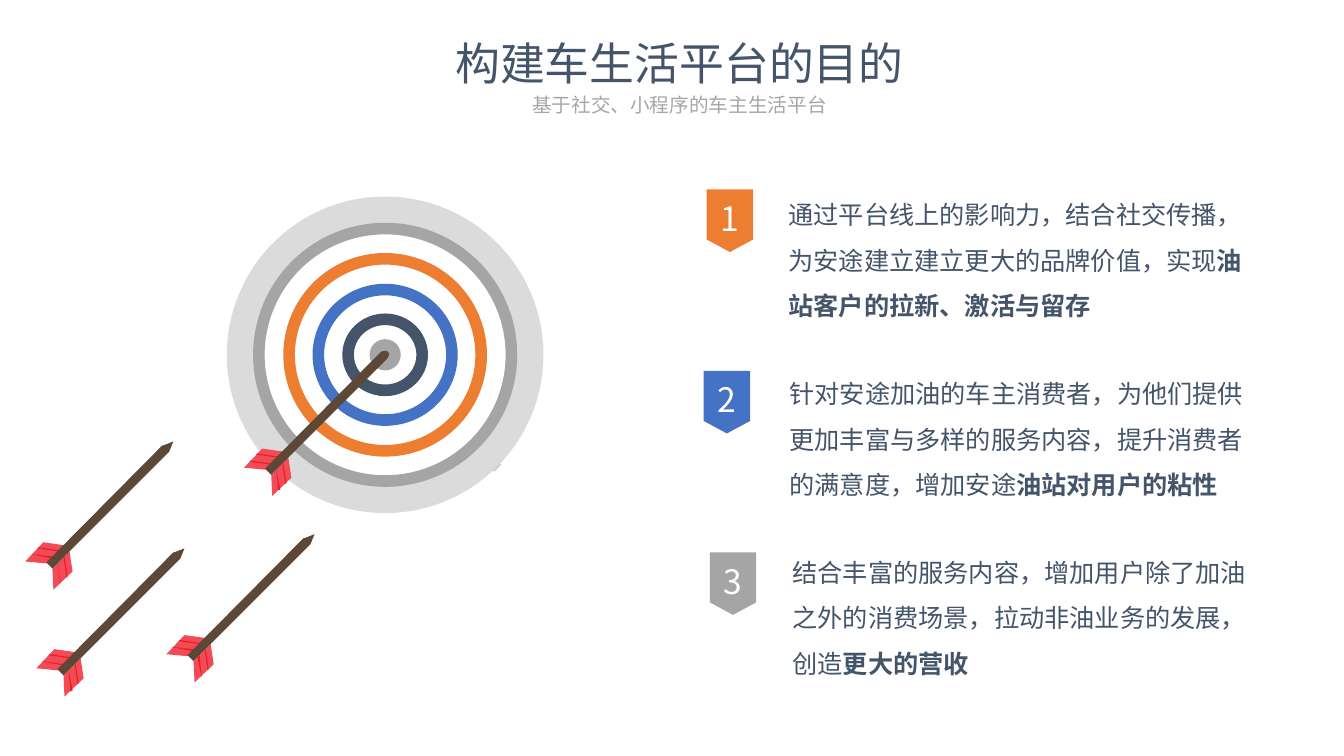
from dataclasses import dataclass

from lxml.etree import SubElement
from pptx import Presentation
from pptx.dml.color import RGBColor
from pptx.enum.shapes import MSO_SHAPE
from pptx.enum.text import MSO_ANCHOR, MSO_AUTO_SIZE, PP_ALIGN
from pptx.oxml.ns import qn
from pptx.util import Inches, Pt


@dataclass(frozen=True)
class Theme:
    font: str = "Noto Sans CJK SC"
    ink: str = "44546A"
    soft: str = "A6A6A6"
    white: str = "FFFFFF"
    pale: str = "DBDBDB"
    gray: str = "A5A5A5"
    orange: str = "ED7D31"
    blue: str = "4472C4"
    vane: str = "F34A57"
    rib: str = "EA1E1D"
    wood: str = "5D4837"
    nick: str = "C9C8C8"
    title: int = 32
    sub: int = 14
    body: int = 18
    mark: int = 24


T = Theme()
WIDE, HIGH = 13.33, 7.5

TITLE = "构建车生活平台的目的"
SUB = "基于社交、小程序的车主生活平台"
# plain text, bold text, badge colour, badge left, text left
GOALS = [
    ("通过平台线上的影响力，结合社交传播，为安途建立建立更大的品牌价值，实现",
     "油站客户的拉新、激活与留存", T.orange, 7.01, 7.82),
    ("针对安途加油的车主消费者，为他们提供更加丰富与多样的服务内容，提升消费者的满意度，增加安途",
     "油站对用户的粘性", T.blue, 6.98, 7.83),
    ("结合丰富的服务内容，增加用户除了加油之外的消费场景，拉动非油业务的发展，创造",
     "更大的营收", T.gray, 7.04, 7.86),
]
TEXT_TOP, TEXT_STEP = 1.83, 1.775
MARK_TOP, MARK_STEP = 1.88, 1.8

HUB = (3.82, 3.52)
DISCS = [(3.14, T.pale), (2.5, T.white)]
RINGS = [(2.62, 2.62, T.gray), (2.02, 2.02, T.orange),
         (1.44, 1.41, T.blue), (0.85, 0.82, T.ink)]
BAND = 0.115
EYE = 0.31
NICK = [(4.96, 4.6), (4.97, 4.61), (4.9, 4.68), (4.89, 4.67)]

# Arrow outlines, measured from the lower corner of the shaft's tail
VANES = [
    [(0.17, -0.17), (0.2, 0.03), (0.01, 0.21), (0, 0)],
    [(0.12, -0.23), (-0.09, -0.26), (-0.27, -0.07), (-0.06, -0.05)],
]
DOWN = [(0.12, -0.12), (0.15, 0.08), (0.14, 0.09), (0.11, -0.11)]
SIDE = [(-0.14, -0.21), (0.07, -0.18), (0.06, -0.17), (-0.15, -0.2)]
TAIL = [(1.15, -1.15), (0, 0), (-0.06, -0.06), (1.09, -1.22)]
POINT = [(1.1, -1.22), (1.2, -1.26), (1.16, -1.16)]
ROUND = [(1.13, -1.23), (1.16, -1.22), (1.17, -1.19)]
ARROWS = [(0.52, 5.64, POINT), (0.63, 6.7, POINT),
          (1.92, 6.56, POINT), (2.69, 4.71, ROUND)]


def paint(shape, color):
    shape.shadow.inherit = False
    shape.fill.solid()
    shape.fill.fore_color.rgb = RGBColor.from_string(color)
    shape.line.fill.background()
    return shape


def style(para, size, color, align, lead):
    para.alignment = align
    para.line_spacing = lead
    para.space_before = Pt(0)
    font = para.font
    font.name, font.size = T.font, Pt(size)
    font.color.rgb = RGBColor.from_string(color)
    for latin in list(para._p.iter(qn("a:latin"))):
        ea = SubElement(latin.getparent(), qn("a:ea"), typeface=T.font)
        latin.addnext(ea)


def place(shape, left, top, width, height):
    shape.left, shape.top = Inches(left), Inches(top)
    shape.width, shape.height = Inches(width), Inches(height)


def strip(frame):
    frame.margin_left = frame.margin_right = 0
    frame.margin_top = frame.margin_bottom = 0


def head(shape, text, top, height, size, color, anchor):
    place(shape, 0.99, top, 11.5, height)
    frame = shape.text_frame
    frame.text = text
    frame.word_wrap = True
    frame.auto_size = MSO_AUTO_SIZE.NONE
    frame.vertical_anchor = anchor
    style(frame.paragraphs[0], size, color, PP_ALIGN.CENTER, 0.9)


def outline(shapes, points, color, x=0, y=0):
    """Draw a closed polygon, its points shifted by x and y inches."""
    dots = [(round((x + a) * 100), round((y + b) * 100)) for a, b in points]
    form = shapes.build_freeform(*dots[0], scale=Inches(0.01))
    form.add_line_segments(dots[1:], close=True)
    paint(form.convert_to_shape(), color)


def centred(shapes, kind, width, height, color):
    """Draw a shape centred on the target's hub."""
    shape = shapes.add_shape(
        kind, Inches(HUB[0] - width / 2), Inches(HUB[1] - height / 2),
        Inches(width), Inches(height))
    return paint(shape, color)


def target(shapes):
    for size, color in DISCS:
        centred(shapes, MSO_SHAPE.OVAL, size, size, color)
    for width, height, color in RINGS:
        ring = centred(shapes, MSO_SHAPE.DONUT, width, height, color)
        ring.adjustments[0] = BAND / height
    centred(shapes, MSO_SHAPE.OVAL, EYE, EYE, T.gray)
    outline(shapes, NICK, T.nick)


def arrow(shapes, x, y, tip):
    for vane in VANES:
        outline(shapes, vane, T.vane, x, y)
    for rib in (DOWN, SIDE):
        for step in (0, 0.065):
            outline(shapes, rib, T.rib, x - step, y + step)
    outline(shapes, TAIL + tip, T.wood, x, y)


def goal(shapes, row, plain, bold, color, left, start):
    mark = paint(shapes.add_shape(
        MSO_SHAPE.FLOWCHART_OFFPAGE_CONNECTOR, Inches(left),
        Inches(MARK_TOP + row * MARK_STEP), Inches(0.46), Inches(0.62)), color)
    frame = mark.text_frame
    strip(frame)
    frame.margin_top = Inches(0.07)
    frame.vertical_anchor = MSO_ANCHOR.MIDDLE
    frame.text = str(row + 1)
    style(frame.paragraphs[0], T.mark, T.white, PP_ALIGN.CENTER, 1.0)

    box = shapes.add_textbox(
        Inches(start), Inches(TEXT_TOP + row * TEXT_STEP),
        Inches(4.59), Inches(1.31))
    frame = box.text_frame
    strip(frame)
    frame.word_wrap = True
    para = frame.paragraphs[0]
    para.add_run().text = plain
    strong = para.add_run()
    strong.text = bold
    strong.font.bold = True
    style(para, T.body, T.ink, PP_ALIGN.LEFT, 1.5)


def main():
    deck = Presentation()
    deck.slide_width, deck.slide_height = Inches(WIDE), Inches(HIGH)
    slide = deck.slides.add_slide(deck.slide_layouts[0])
    shapes = slide.shapes
    head(shapes.title, TITLE, 0.19, 0.76, T.title, T.ink, MSO_ANCHOR.BOTTOM)
    head(slide.placeholders[1], SUB, 0.9, 0.55, T.sub, T.soft, MSO_ANCHOR.TOP)
    target(shapes)
    for spot in ARROWS:
        arrow(shapes, *spot)
    for row, item in enumerate(GOALS):
        goal(shapes, row, *item)
    deck.save("out.pptx")


if __name__ == "__main__":
    main()
